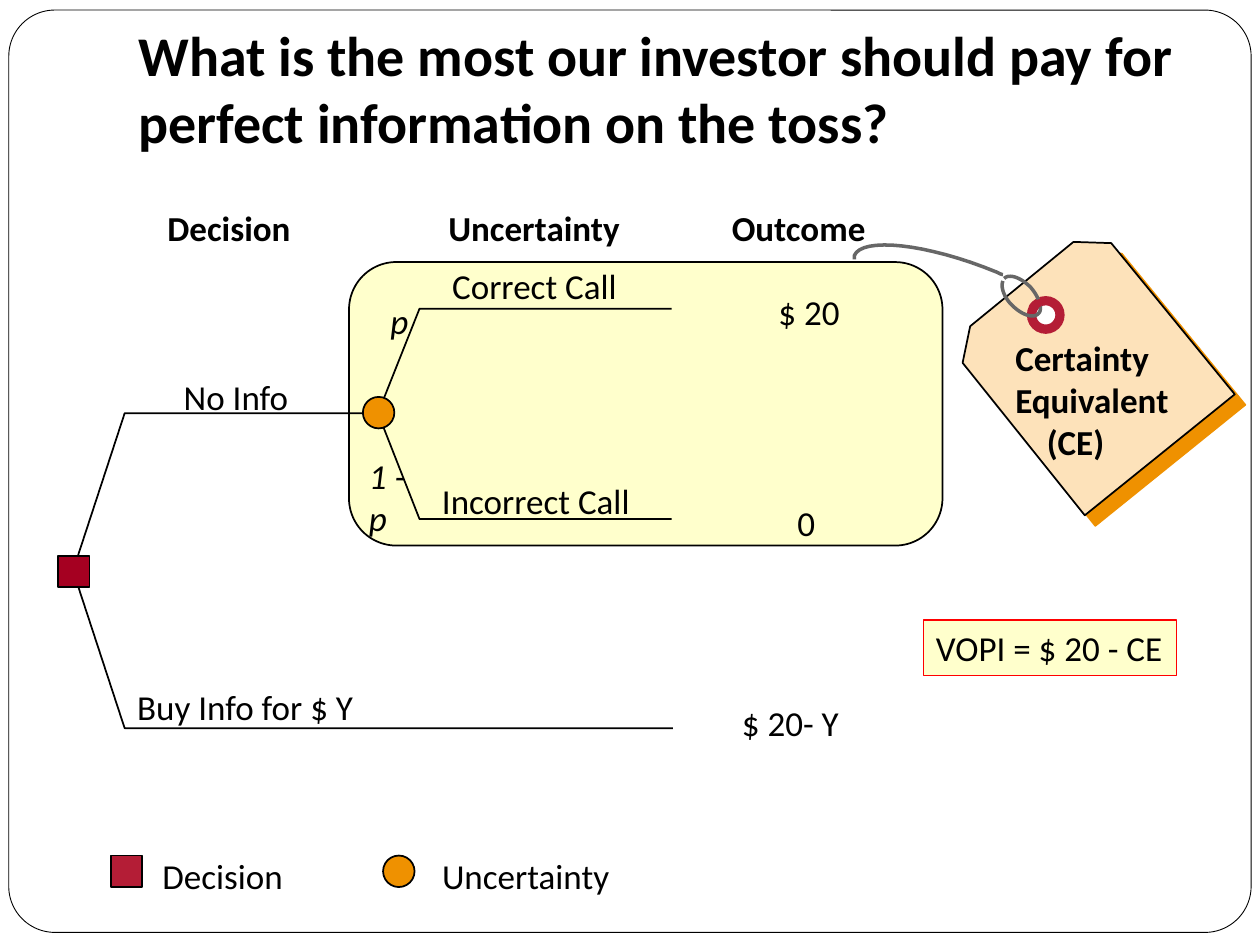
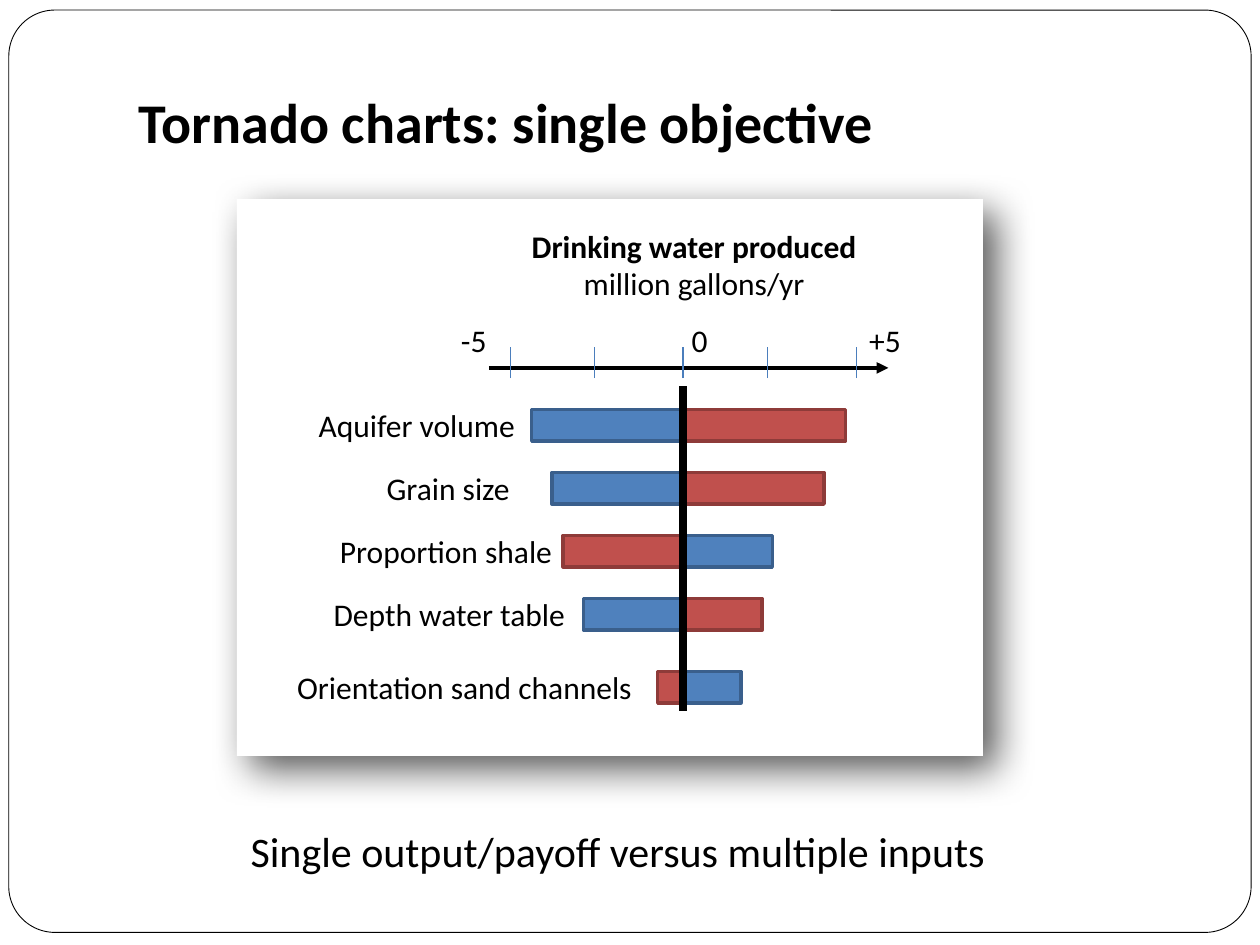
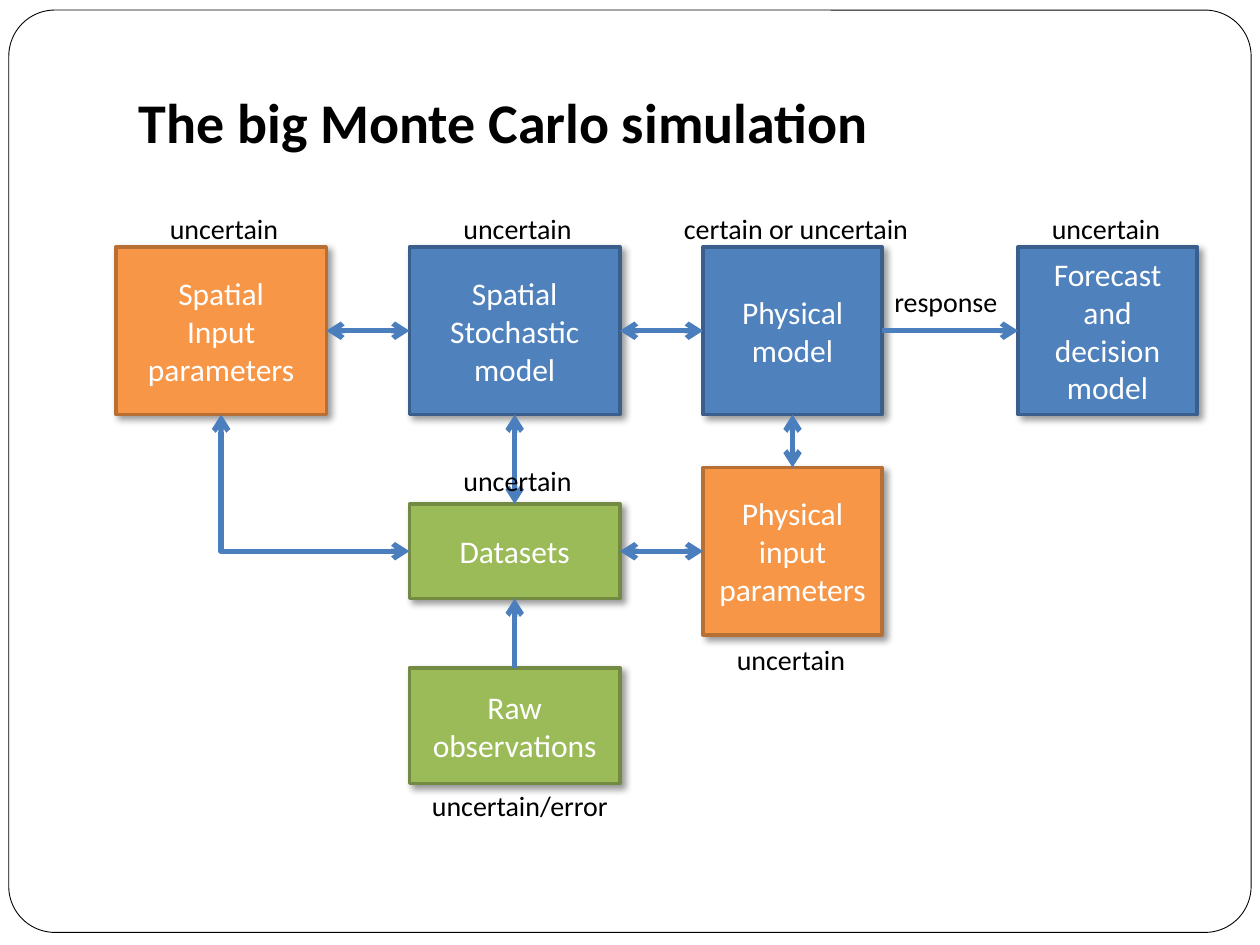
from lxml import etree
from pptx import Presentation
from pptx.dml.color import RGBColor
from pptx.enum.shapes import MSO_CONNECTOR, MSO_SHAPE
from pptx.enum.text import MSO_ANCHOR, MSO_AUTO_SIZE, PP_ALIGN
from pptx.oxml.ns import qn
from pptx.util import Emu, Pt

EMU_PER_PX = 9144
FONT = "Calibri"
COLOURS = {
    "black": "000000", "white": "FFFFFF", "cream": "FFFFCC", "crimson": "A50021",
    "ruby": "B41D36", "amber": "EF9100", "peach": "FDE2BA", "cord": "676767",
    "alert": "FF0000", "arrow": "4B7EBC",
    "blue": "4F81BD", "blue edge": "3A5F8C", "red": "C0504D", "red edge": "8E3B39",
    "orange": "F79646", "orange edge": "B76F34", "green": "9BBB59", "green edge": "738A42",
}
RECTANGLE = MSO_SHAPE.RECTANGLE
ROUNDED = MSO_SHAPE.ROUNDED_RECTANGLE
OVAL = MSO_SHAPE.OVAL
STRAIGHT = MSO_CONNECTOR.STRAIGHT
ELBOW = MSO_CONNECTOR.ELBOW
LEFT = PP_ALIGN.LEFT
CENTER = PP_ALIGN.CENTER
TOP, LEFT_SIDE, BOTTOM, RIGHT_SIDE = range(4)


def px(length):
    """Turn px into EMU."""
    return Emu(round(length * EMU_PER_PX))


def colour(name):
    """Look up a palette colour."""
    return RGBColor.from_string(COLOURS[name])


def paint(shape, fill=None, line=None, line_width=1, shadow=None):
    """Set fill, line and an optional (colour, alpha, blur, distance) shadow."""
    if fill:
        shape.fill.solid()
        shape.fill.fore_color.rgb = colour(fill)
    else:
        shape.fill.background()
    if line:
        shape.line.color.rgb = colour(line)
        shape.line.width = Pt(line_width)
    else:
        shape.line.fill.background()
    shape.shadow.inherit = False
    if shadow:
        name, alpha, blur, distance = shadow
        effects = shape.element.spPr.find(qn("a:effectLst"))
        outer = etree.SubElement(
            effects, qn("a:outerShdw"), blurRad=str(Pt(blur)), dist=str(Pt(distance)),
            dir="2700000", algn="tl", rotWithShape="0")
        tint = etree.SubElement(outer, qn("a:srgbClr"), val=COLOURS[name])
        etree.SubElement(tint, qn("a:alpha"), val=str(alpha * 1000))


def add_box(slide, kind, left, top, width, height, rotation=0, **style):
    """Add a painted preset shape."""
    shape = slide.shapes.add_shape(kind, px(left), px(top), px(width), px(height))
    shape.rotation = rotation
    paint(shape, **style)
    return shape


def add_outline(slide, left, top, points, closed=False, **style):
    """Add a freeform through points measured from left and top."""
    (start_x, start_y), *others = [(px(left + x), px(top + y)) for x, y in points]
    builder = slide.shapes.build_freeform(start_x, start_y)
    builder.add_line_segments(others, close=closed)
    paint(builder.convert_to_shape(), **style)


def curve_points(start, curves, steps=16):
    """Sample a chain of cubic curves, each given as three points."""
    points = [start]
    for first, second, end in curves:
        origin = points[-1]
        for step in range(1, steps + 1):
            t = step / steps
            weights = ((1 - t) ** 3, 3 * t * (1 - t) ** 2, 3 * t * t * (1 - t), t ** 3)
            corners = (origin, first, second, end)
            points.append(tuple(
                sum(weight * corner[axis] for weight, corner in zip(weights, corners))
                for axis in (0, 1)))
    return points


def write(shape, lines, size, name="black", align=LEFT, bold=False, italic=False):
    """Write one paragraph per line and return the paragraphs."""
    frame = shape.text_frame
    paragraphs = []
    for index, line in enumerate(lines):
        paragraph = frame.add_paragraph() if index else frame.paragraphs[0]
        paragraph.alignment = align
        run = paragraph.add_run()
        run.text = line
        font = run.font
        font.name, font.size, font.bold, font.italic = FONT, Pt(size), bold, italic
        font.color.rgb = colour(name)
        paragraphs.append(paragraph)
    return paragraphs


def add_label(slide, lines, left, top, width, height, size, wrap=False, **style):
    """Add a text box that holds the given lines."""
    label = slide.shapes.add_textbox(px(left), px(top), px(width), px(height))
    label.text_frame.word_wrap = wrap
    label.text_frame.auto_size = MSO_AUTO_SIZE.SHAPE_TO_FIT_TEXT
    return write(label, lines, size, **style)


def style_connector(connector, name, width, head=None, tail=None):
    """Colour a connector, clear its shadow and set its arrowheads."""
    connector.line.color.rgb = colour(name)
    connector.line.width = Pt(width)
    properties = connector.element.spPr
    outline = properties.find(qn("a:ln"))
    for tag, arrowhead in (("a:headEnd", head), ("a:tailEnd", tail)):
        if arrowhead:
            etree.SubElement(outline, qn(tag), type=arrowhead)
    etree.SubElement(properties, qn("a:effectLst"))


def add_line(slide, start, end, name, width, tail=None):
    """Add a straight line between two points."""
    connector = slide.shapes.add_connector(STRAIGHT, *map(px, (*start, *end)))
    style_connector(connector, name, width, tail=tail)


def add_master_frame(presentation, slide):
    """Put the rounded page frame on the slide master."""
    frame = add_box(slide, ROUNDED, 7, 8, 986, 732, fill="white", line="black", line_width=0.5)
    frame.adjustments[0] = 0.05
    presentation.slide_master.shapes.element.insert(2, frame.element)


def add_title(slide, text):
    """Move and format the title placeholder."""
    title = slide.shapes.title
    title.left, title.top, title.width, title.height = map(px, (100, 8, 850, 125))
    frame = title.text_frame
    frame.word_wrap = True
    frame.auto_size = MSO_AUTO_SIZE.NONE
    frame.vertical_anchor = MSO_ANCHOR.BOTTOM
    frame.margin_bottom = px(10)
    write(title, [text], 32, bold=True)


def add_decision_tree(slide, left, top):
    """Draw the column headings, branches, nodes and outcomes."""
    add_box(slide, ROUNDED, left + 231, top + 49, 471, 225, fill="cream", line="black")
    branches = (
        [(254, 169), (53, 169), (12, 294), (53, 419), (488, 419)],
        [(487, 86), (287, 86), (254, 169), (287, 253), (487, 253)],
    )
    for points in branches:
        add_outline(slide, left, top, points, line="black")
    add_box(slide, RECTANGLE, left, top + 282, 25, 25, fill="crimson", line="black")
    add_box(slide, OVAL, left + 242, top + 156, 25, 25, fill="amber", line="black")
    for text, x, width in (("Decision", 77, 136), ("Uncertainty", 300, 173), ("Outcome", 525, 140)):
        add_label(slide, [text], left + x, top, width, 43, 20, bold=True)
    labels = (
        ("No Info", 90, 134, 110), ("Buy Info for $ Y", 53, 380, 193),
        ("Correct Call", 303, 46, 167), ("Incorrect Call", 295, 217, 184),
        ("$ 20", 562, 67, 69), ("0", 577, 234, 36), ("$ 20- Y", 533, 393, 98),
    )
    for text, x, y, width in labels:
        add_label(slide, [text], left + x, top + y, width, 44, 20)
    add_label(slide, ["p"], left + 254, top + 74, 34, 44, 20, italic=True)
    add_label(slide, ["1 - p"], left + 237, top + 197, 67, 77, 20, wrap=True, italic=True)


def add_legend(slide, left, top):
    """Explain the node shapes."""
    entries = (("Decision", RECTANGLE, "ruby", 0, 31, 127),
               ("Uncertainty", OVAL, "amber", 216, 253, 161))
    for text, kind, fill, marker_x, text_x, width in entries:
        add_box(slide, kind, left + marker_x, top + 6, 25, 25, fill=fill, line="black")
        add_label(slide, [text], left + text_x, top, width, 43, 20)


def add_price_tag(slide, left, top):
    """Draw the price tag with its cord, eyelet and text."""
    card = [(183, 217), (302, 121), (204, 1), (174, 0), (92, 67), (86, 96)]
    add_outline(slide, left, top, card, closed=True, fill="peach", line="black",
                shadow=("amber", 100, 0, 8.5))
    cord = curve_points((0, 14), [
        [(0, 13), (0, 12), (0, 11)],
        [(6, -4), (57, 1), (113, 24)],
        [(115, 25), (117, 26), (118, 26)]])
    loop = curve_points((119, 29), [
        [(123, 25), (132, 28), (140, 36)],
        [(147, 44), (150, 54), (146, 57)],
        [(142, 61), (133, 58), (125, 50)],
        [(119, 44), (116, 36), (118, 31)]])
    add_outline(slide, left, top, cord, line="cord", line_width=2)
    add_box(slide, OVAL, left + 137, top + 43, 30, 30, fill="ruby")
    add_box(slide, OVAL, left + 143, top + 49, 18, 18, fill="white", line="ruby", line_width=2)
    add_outline(slide, left, top, loop, line="cord", line_width=2)
    for x, y in ((138, 47), (141, 46)):
        add_box(slide, OVAL, left + x, top + y, 10, 6, rotation=325, fill="ruby")
    paragraphs = add_label(slide, ["Certainty", "Equivalent", "(CE)"],
                           left + 118, top + 70, 143, 111, 20, bold=True)
    paragraphs[-1].element.get_or_add_pPr().set("marL", str(px(25))) if hasattr(
        paragraphs[-1], "element") else paragraphs[-1]._p.get_or_add_pPr().set("marL", str(px(25)))


def add_formula(slide, left, top):
    """Add the boxed value-of-information formula."""
    box = add_box(slide, RECTANGLE, left, top, 201, 44, fill="cream", line="alert", line_width=0.75)
    box.text_frame.word_wrap = False
    write(box, ["VOPI = $ 20 - CE"], 20)


def add_tornado(slide, left, top):
    """Draw the tornado panel with its scale and paired bars."""
    axis = left + 354
    add_box(slide, RECTANGLE, left, top, 592, 442, fill="white", shadow=("black", 65, 23, 11))
    add_line(slide, (left + 200, top + 134), (left + 517, top + 134), "black", 2.25, "triangle")
    for x in (217, 284, 354, 421, 492):
        add_line(slide, (left + x, top + 142), (left + x, top + 117), "arrow", 0.75)
    rows = (
        ("Aquifer volume", 55, 179, 167, 120, 129, "blue", "red"),
        ("Grain size", 109, 133, 217, 104, 112, "blue", "red"),
        ("Proportion shale", 72, 204, 267, 95, 71, "red", "blue"),
        ("Depth water table", 67, 220, 317, 79, 63, "blue", "red"),
        ("Orientation sand channels", 38, 295, 375, 20, 46, "red", "blue"),
    )
    for text, x, width, y, low, high, low_colour, high_colour in rows:
        for start, length, name in ((axis - low, low, low_colour), (axis, high, high_colour)):
            add_box(slide, RECTANGLE, start, top + y, length, 25,
                    fill=name, line=f"{name} edge", line_width=2)
        add_label(slide, [text], left + x, top + y - 8, width, 40, 18, wrap=True)
    add_line(slide, (axis, top + 406), (axis, top + 148), "black", 4.5)
    add_label(slide, ["Drinking water produced"], left + 223, top + 17, 280, 40, 18,
              align=CENTER, bold=True)
    add_label(slide, ["million gallons/yr"], left + 223, top + 47, 280, 40, 18, align=CENTER)
    for text, x, width in (("-5", 168, 41), ("0", 351, 33), ("+5", 492, 46)):
        add_label(slide, [text], left + x, top + 92, width, 40, 18)


def add_flow(slide, left, top):
    """Draw the model boxes, the arrows that join them and their notes."""
    boxes = (
        ("physical", ["Physical model"], "blue", 466, 0, 142, 133),
        ("stochastic", ["Spatial", "Stochastic", "model"], "blue", 233, 0, 167, 133),
        ("spatial", ["Spatial", "Input parameters"], "orange", 0, 0, 167, 133),
        ("forecast", ["Forecast and decision model"], "blue", 716, 0, 142, 133),
        ("inputs", ["Physical", "input parameters"], "orange", 466, 175, 142, 133),
        ("raw", ["Raw", "observations"], "green", 233, 334, 167, 92),
        ("datasets", ["Datasets"], "green", 233, 204, 167, 75),
    )
    shapes = {}
    for key, lines, name, x, y, width, height in boxes:
        box = add_box(slide, RECTANGLE, left + x, top + y, width, height, fill=name,
                      line=f"{name} edge", line_width=2, shadow=("black", 40, 4, 3))
        box.text_frame.word_wrap = True
        box.text_frame.vertical_anchor = MSO_ANCHOR.MIDDLE
        write(box, lines, 18, name="white", align=CENTER)
        shapes[key] = box
    links = (
        ("spatial", RIGHT_SIDE, "stochastic", LEFT_SIDE, STRAIGHT, "arrow"),
        ("stochastic", RIGHT_SIDE, "physical", LEFT_SIDE, STRAIGHT, "arrow"),
        ("inputs", TOP, "physical", BOTTOM, STRAIGHT, "arrow"),
        ("physical", RIGHT_SIDE, "forecast", LEFT_SIDE, STRAIGHT, None),
        ("raw", TOP, "datasets", BOTTOM, STRAIGHT, None),
        ("datasets", LEFT_SIDE, "spatial", BOTTOM, ELBOW, "arrow"),
        ("datasets", RIGHT_SIDE, "inputs", LEFT_SIDE, STRAIGHT, "arrow"),
        ("datasets", TOP, "stochastic", BOTTOM, STRAIGHT, "arrow"),
    )
    for start, start_side, end, end_side, kind, head in links:
        connector = slide.shapes.add_connector(kind, 0, 0, 0, 0)
        connector.begin_connect(shapes[start], start_side)
        connector.end_connect(shapes[end], end_side)
        style_connector(connector, "arrow", 3, head=head, tail="arrow")
        if kind == ELBOW:
            connector.element.spPr.find(qn("a:prstGeom")).set("prst", "bentConnector2")
    notes = (
        ("uncertain", 33, -33, 107), ("uncertain", 266, -33, 107),
        ("certain or uncertain", 441, -33, 203), ("uncertain", 733, -33, 107),
        ("response", 608, 25, 103), ("uncertain", 266, 167, 107),
        ("uncertain", 483, 309, 107), ("uncertain/error", 241, 425, 164),
    )
    for text, x, y, width in notes:
        add_label(slide, [text], left + x, top + y, width, 37, 16)


def main():
    """Build and save the three slides."""
    presentation = Presentation()
    presentation.slide_width, presentation.slide_height = px(1000), px(750)
    titles = (
        "What is the most our investor should pay for perfect information on the toss?",
        "Tornado charts: single objective",
        "The big Monte Carlo simulation",
    )
    slides = []
    for text in titles:
        slide = presentation.slides.add_slide(presentation.slide_layouts[5])
        add_title(slide, text)
        slides.append(slide)
    investor, tornado, simulation = slides
    add_master_frame(presentation, investor)

    add_decision_tree(investor, 46, 159)
    add_legend(investor, 88, 673)
    add_price_tag(investor, 678, 192)
    add_formula(investor, 733, 492)

    add_tornado(tornado, 188, 158)
    add_label(tornado, ["Single output/payoff versus multiple inputs"], 189, 650, 609, 50, 24)

    add_flow(simulation, 92, 196)
    presentation.save("out.pptx")


if __name__ == "__main__":
    main()
